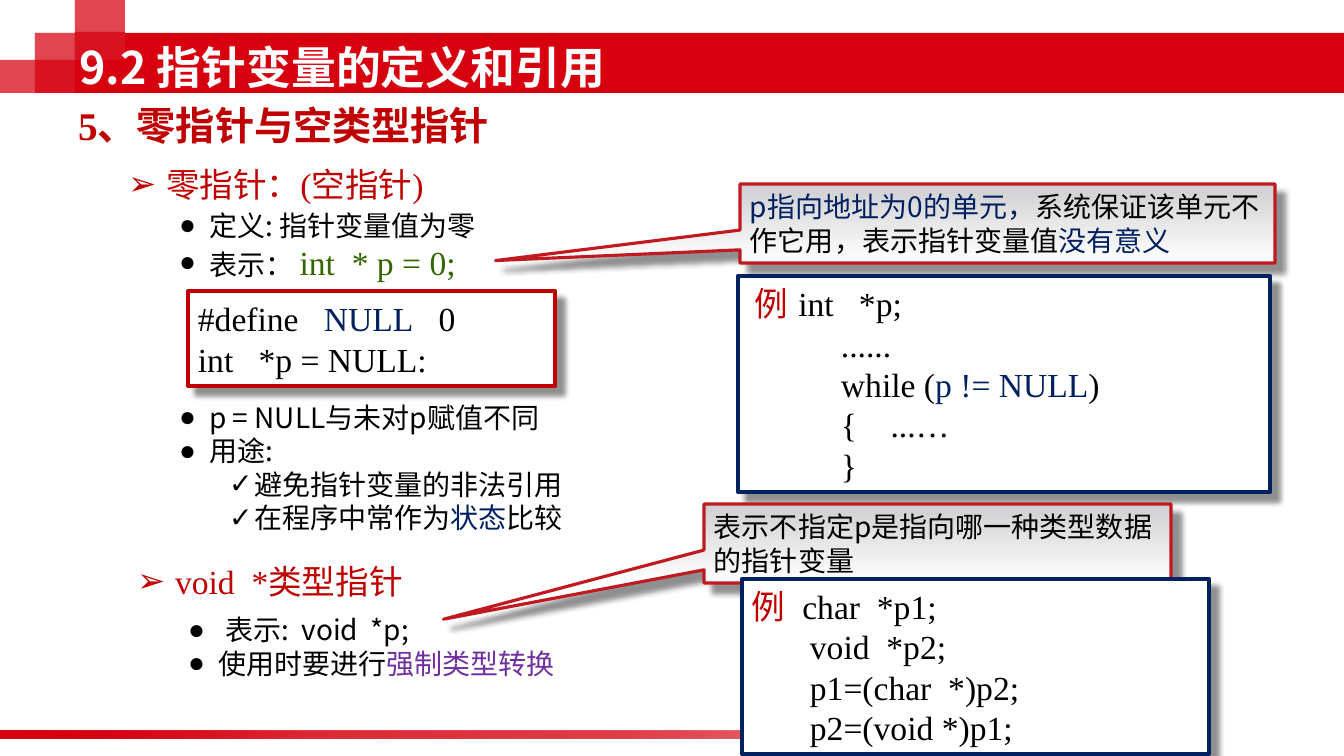
from lxml.etree import SubElement
from pptx import Presentation
from pptx.dml.color import RGBColor
from pptx.enum.shapes import MSO_SHAPE
from pptx.enum.text import MSO_ANCHOR, MSO_AUTO_SIZE
from pptx.oxml.ns import qn
from pptx.util import Pt

PX = 9071
SANS, SERIF = "Noto Sans CJK SC", "Times New Roman"
THEME = {
    "band": "D7000F", "red": "C00000", "navy": "002060", "black": "000000",
    "callout": "C01920", "silver": "CFCFD1", "white": "FFFFFF",
    "styles": {
        "title": (32, SANS, "FFFFFF", True),
        "heading": (28, SERIF, "C00000", True),
        "topic": (24, SERIF, "C00000", False),
        "code": (24, SERIF, "000000", False),
        "code_key": (24, SERIF, "002060", False),
        "code_green": (24, SERIF, "336600", False),
        "body": (20, SANS, "000000", False),
        "body_key": (20, SANS, "002060", False),
        "body_cast": (20, SANS, "7030A0", False),
    },
}
LEVELS = {
    "heading": (0, 0, 0, None),
    "topic": (1, 88, -38, "➢"),
    "point": (2, 131, -30, "●"),
    "inset_point": (2, 138, -37, "●"),
    "check": (3, 176, -25, "✓"),
}

TITLE = ((69, 33, 897, 68), "9.2 指针变量的定义和引用")
LISTS = {
    1: ((68, 96, 650, 190), [
        ("heading", 0, [("5、零指针与空类型指针", "heading")]),
        ("topic", 11, [("零指针：(空指针)", "topic")]),
        ("point", 3, [("定义: 指针变量值为零", "body")]),
        ("point", 0, [("表示： ", "body"), ("int  * p = 0;", "code_green")]),
    ]),
    2: ((68, 395, 630, 150), [
        ("point", 0, [("p = NULL与未对p赋值不同", "body")]),
        ("point", 0, [("用途:", "body")]),
        ("check", 0, [("避免指针变量的非法引用", "body")]),
        ("check", 0, [("在程序中常作为", "body"), ("状态", "body_key"), ("比较", "body")]),
    ]),
    4: ((77, 556, 620, 140), [
        ("topic", 0, [("void  *类型指针", "topic")]),
        ("inset_point", 8, [("表示:  void  *p;", "body")]),
        ("point", 0, [("使用时要进行", "body"), ("强制类型转换", "body_cast")]),
    ]),
}
NULL_CALLOUT = ((740, 184, 535, 79), (-0.957, 0.469), [
    ("p指向地址为0的单元，", "body_key"),
    ("系统保证该单元不作它用，表示指针变量值", "body"),
    ("没有意义", "body_key"),
])
VOID_CALLOUT = ((704, 504, 467, 79), (-1.058, 0.959), [
    ("表示不指定p是指向哪一种类型数据的指针变量", "body"),
])
NULL_DEFINITION = ((188, 291, 367, 95), "red", (0, 0, 0), [
    [("#define   ", "code"), ("NULL", "code_key"), ("   0", "code")],
    [("int   *p = NULL:", "code")],
])
NULL_EXAMPLE = ((738, 276, 532, 216), "navy", (7, 95, 93), [
    [("例\t", "topic"), ("int   *p;", "code")],
    [("......", "code")],
    [("while (", "code"), ("p != NULL", "code_key"), (")", "code")],
    [("{    ...…", "code")],
    [("}", "code")],
])
VOID_EXAMPLE = ((742, 579, 467, 175), "navy", (0, 64, 58), [
    [("例\t", "topic"), ("char  *p1;", "code")],
    [("void  *p2;", "code")],
    [("p1=(char  *)p2;", "code")],
    [("p2=(void *)p1;", "code")],
])
CORNER = [(0, 60, 125, 33), (35, 33, 40, 60), (75, -2, 50, 62), (75, 32, 50, 28)]
BAND = [(125, 33, 1219, 60), (75, 60, 50, 33)]
FOOT_RULE = (-2, 731, 1005, 8)
FADE = [(0, THEME["band"], 100), (31, THEME["band"], 60),
        (64, THEME["band"], 50), (100, THEME["band"], 20)]
SHEEN = [(0, THEME["silver"], 100), (100, THEME["white"], 100)]


def emu(lengths):
    return [length * PX for length in lengths]


def add_color(parent, color, alpha):
    rgb = SubElement(parent, qn("a:srgbClr"), val=color)
    SubElement(rgb, qn("a:alpha"), val=str(alpha * 1000))


def set_gradient(shape, stops, angle):
    shape.fill.gradient()
    shape.fill.gradient_angle = angle
    stop_list = shape.element.spPr.find(".//" + qn("a:gsLst"))
    for stop in list(stop_list):
        stop_list.remove(stop)
    for place, color, alpha in stops:
        add_color(SubElement(stop_list, qn("a:gs"), pos=str(place * 1000)), color, alpha)


def write_runs(paragraph, pieces, fixed=True, before=0):
    for words, style in pieces:
        size, face, color, bold = THEME["styles"][style]
        run = paragraph.add_run()
        run.text = words
        run.font.size, run.font.bold, run.font.name = Pt(size), bold, face
        run.font.color.rgb = RGBColor.from_string(color)
        SubElement(run.font._element, qn("a:ea"), typeface=SANS)
    paragraph.space_before = Pt(before)
    if fixed:
        tallest = max(THEME["styles"][style][0] for _, style in pieces)
        paragraph.line_spacing = Pt(tallest * 1.2)


def set_indent(paragraph, margin, indent):
    properties = paragraph._p.get_or_add_pPr()
    properties.set("marL", str(margin * PX))
    properties.set("indent", str(indent * PX))
    return properties


def paragraphs_for(frame, lines):
    for number, line in enumerate(lines):
        yield (frame.add_paragraph() if number else frame.paragraphs[0]), number, line


def place(holder, box, anchor):
    holder.left, holder.top, holder.width, holder.height = emu(box)
    holder.text_frame.auto_size = MSO_AUTO_SIZE.NONE
    holder.text_frame.vertical_anchor = anchor


def add_decor(slide, box, color=None, alpha=100):
    decor = slide.shapes.add_shape(MSO_SHAPE.RECTANGLE, *emu(box))
    decor.shadow.inherit = False
    decor.line.fill.background()
    if color:
        decor.fill.solid()
        decor.fill.fore_color.rgb = RGBColor.from_string(color)
        rgb = decor.element.spPr.find(".//" + qn("a:srgbClr"))
        SubElement(rgb, qn("a:alpha"), val=str(alpha * 1000))
    else:
        set_gradient(decor, FADE, 320)
    slide.shapes.title.element.addprevious(decor.element)


def add_panel(slide, preset, box, color, weight):
    panel = slide.shapes.add_shape(preset, *emu(box))
    panel.shadow.inherit = False
    panel.line.color.rgb = RGBColor.from_string(THEME[color])
    panel.line.width = Pt(weight)
    effects = panel.element.spPr.find(qn("a:effectLst"))
    shadow = SubElement(effects, qn("a:outerShdw"), blurRad=str(Pt(4)), dist=str(Pt(8.4)),
                        dir="2700000", algn="tl", rotWithShape="0")
    add_color(shadow, THEME["black"], 43)
    panel.text_frame.word_wrap = True
    panel.text_frame.vertical_anchor = MSO_ANCHOR.MIDDLE
    return panel


def add_callout(slide, box, tip, pieces):
    callout = add_panel(slide, MSO_SHAPE.RECTANGULAR_CALLOUT, box, "callout", 2.25)
    callout.adjustments[0], callout.adjustments[1] = tip
    set_gradient(callout, SHEEN, 270)
    paragraph = callout.text_frame.paragraphs[0]
    paragraph.alignment = 1
    write_runs(paragraph, pieces)


def add_code(slide, box, color, stops, lines):
    panel = add_panel(slide, MSO_SHAPE.RECTANGLE, box, color, 3)
    panel.fill.solid()
    panel.fill.fore_color.rgb = RGBColor.from_string(THEME["white"])
    label, tab, margin = stops
    for paragraph, number, pieces in paragraphs_for(panel.text_frame, lines):
        paragraph.alignment = 1
        properties = set_indent(paragraph, margin if number else 0, 0 if number else label)
        if tab and not number:
            tabs = SubElement(properties, qn("a:tabLst"))
            SubElement(tabs, qn("a:tab"), pos=str(tab * PX), algn="l")
        write_runs(paragraph, pieces)


def fill_list(holder, box, lines):
    place(holder, box, MSO_ANCHOR.TOP)
    for paragraph, _, (kind, before, pieces) in paragraphs_for(holder.text_frame, lines):
        level, margin, indent, bullet = LEVELS[kind]
        paragraph.level = level
        properties = set_indent(paragraph, margin, indent)
        if bullet:
            SubElement(properties, qn("a:buChar"), char=bullet)
        else:
            SubElement(properties, qn("a:buNone"))
        paragraph.alignment = 1
        write_runs(paragraph, pieces, before=before)


def main():
    deck = Presentation()
    deck.slide_width, deck.slide_height = emu((1344, 756))
    slide = deck.slides.add_slide(deck.slide_layouts[4])
    for _ in range(2):
        for box in CORNER:
            add_decor(slide, box, THEME["band"], 48)
        add_decor(slide, FOOT_RULE)
    for box in BAND:
        add_decor(slide, box, THEME["band"])

    title_box, heading = TITLE
    place(slide.shapes.title, title_box, MSO_ANCHOR.MIDDLE)
    title_line = slide.shapes.title.text_frame.paragraphs[0]
    title_line.alignment = 1
    write_runs(title_line, [(heading, "title")], fixed=False)
    for holder in list(slide.placeholders):
        index = holder.placeholder_format.idx
        if index in LISTS:
            fill_list(holder, *LISTS[index])
        elif index:
            holder.element.getparent().remove(holder.element)

    add_callout(slide, *NULL_CALLOUT)
    add_code(slide, *NULL_DEFINITION)
    add_code(slide, *NULL_EXAMPLE)
    add_callout(slide, *VOID_CALLOUT)
    add_code(slide, *VOID_EXAMPLE)
    deck.save("out.pptx")


if __name__ == "__main__":
    main()
